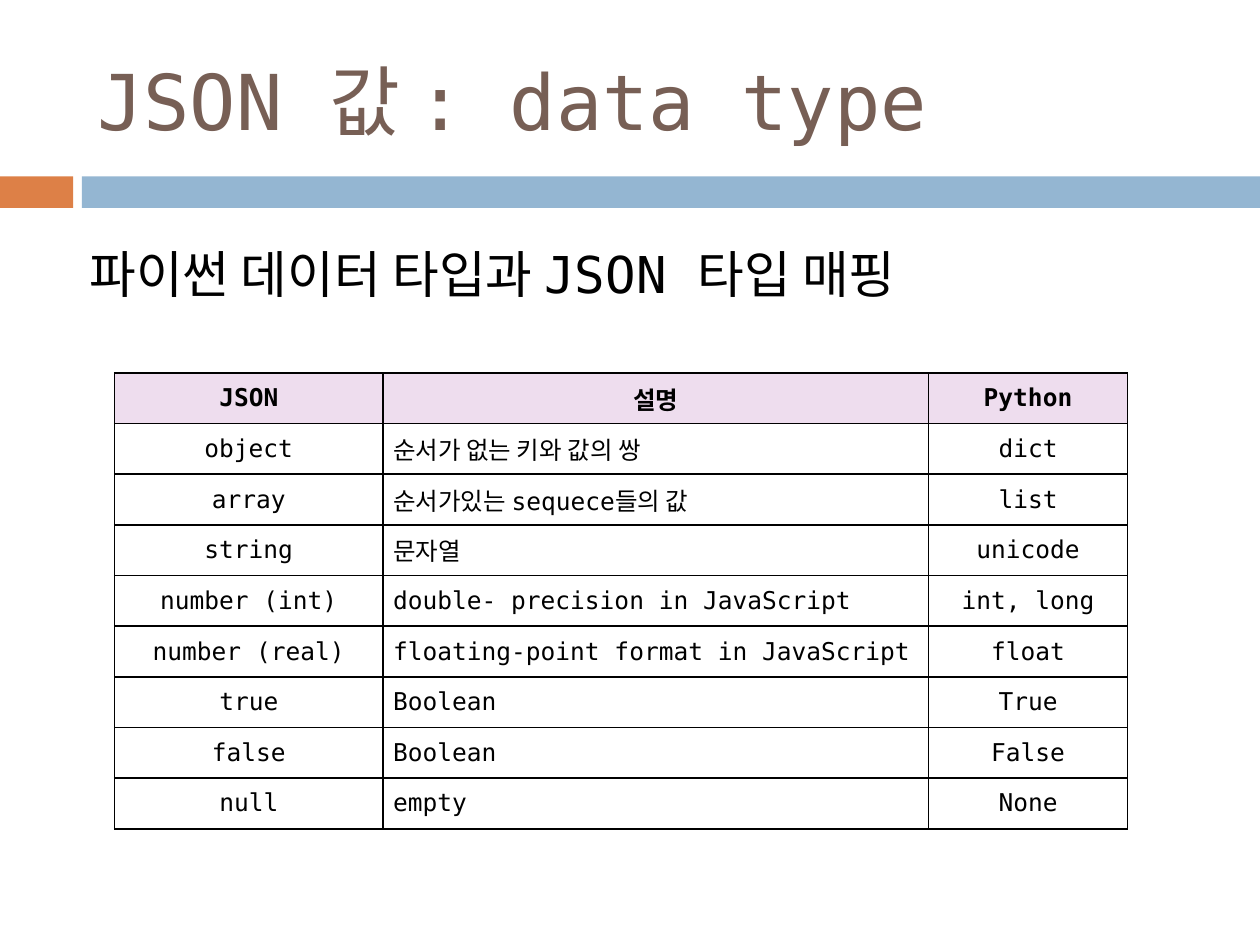
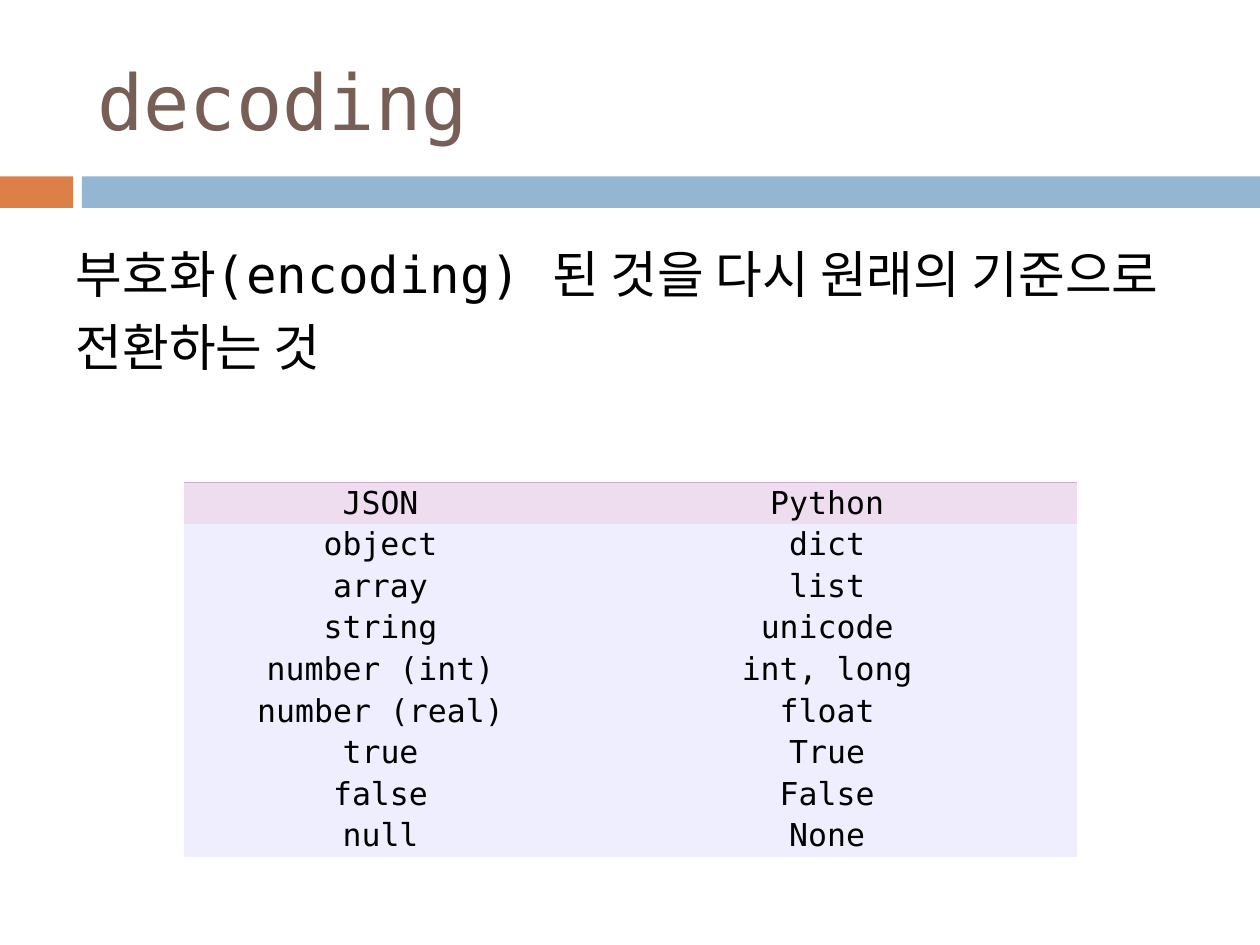
from lxml.etree import SubElement
from pptx import Presentation
from pptx.dml.color import RGBColor
from pptx.enum.shapes import MSO_SHAPE
from pptx.enum.text import MSO_ANCHOR, MSO_AUTO_SIZE, PP_ALIGN
from pptx.oxml.ns import qn
from pptx.util import Inches, Pt

FONT = "DejaVu Sans Mono"
NO_STYLE = "{2D5ABB26-0587-4C30-8999-92F81FD0307C}"
COLORS = {
    "title": "775F55",
    "text": "000000",
    "accent": "DD8047",
    "band": "94B6D2",
    "header": "EEDDEE",
    "rows": "EEEEFF",
    "grid": "000000",
    "header_line": "CCAACC",
}
BANDS = [(0, 0.58, "accent"), (0.65, 9.35, "band")]

TYPES = [
    ("JSON", "설명", "Python"),
    ("object", "순서가 없는 키와 값의 쌍", "dict"),
    ("array", "순서가있는 sequece들의 값", "list"),
    ("string", "문자열", "unicode"),
    ("number (int)", "double- precision in JavaScript", "int, long"),
    ("number (real)", "floating-point format in JavaScript", "float"),
    ("true", "Boolean", "True"),
    ("false", "Boolean", "False"),
    ("null", "empty", "None"),
]

SLIDES = [
    {
        "title": "JSON 값 : data type",
        "body": "파이썬 데이터 타입과 JSON 타입 매핑",
        "body_height": 1.42,
        "body_indent": 0.11,
        "table": {
            "rows": TYPES,
            "at": (0.91, 2.96),
            "widths": (2.13, 4.33, 1.58),
            "height": 3.62,
            "size": 14,
            "bold_header": True,
            "left_column": 1,
            "row_fill": None,
            "header_borders": ("LRTB", "grid", 1),
            "row_borders": ("LRTB", "grid", 1),
        },
    },
    {
        "title": "decoding",
        "body": "부호화(encoding) 된 것을 다시 원래의 기준으로 전환하는 것",
        "body_height": 1.57,
        "body_indent": 0,
        "table": {
            "rows": [(json, python) for json, _, python in TYPES],
            "at": (1.46, 3.83),
            "widths": (3.12, 3.97),
            "height": 2.91,
            "size": 18,
            "bold_header": False,
            "left_column": None,
            "row_fill": "rows",
            "header_borders": ("T", "header_line", 0.6),
            "row_borders": ("", "grid", 0),
        },
    },
]


def rgb(name):
    return RGBColor.from_string(COLORS[name])


def add_run(p, text, size, color, bold=False):
    r = p.add_run()
    r.text = text
    r.font.name = FONT
    r.font.size = Pt(size)
    r.font.bold = bold
    r.font.color.rgb = rgb(color)


def place(sp, left, top, width, height):
    sp.left, sp.top = Inches(left), Inches(top)
    sp.width, sp.height = Inches(width), Inches(height)


def add_bands(s):
    for left, width, color in BANDS:
        sp = s.shapes.add_shape(MSO_SHAPE.RECTANGLE, Inches(left), Inches(1.4),
                                Inches(width), Inches(0.25))
        sp.shadow.inherit = False
        sp.fill.solid()
        sp.fill.fore_color.rgb = rgb(color)
        sp.line.fill.background()


def fill_title(sp, text):
    place(sp, 0.67, 0.25, 8.92, 1.08)
    tf = sp.text_frame
    tf.auto_size = MSO_AUTO_SIZE.NONE
    tf.vertical_anchor = MSO_ANCHOR.MIDDLE
    p = tf.paragraphs[0]
    p.alignment = PP_ALIGN.LEFT
    add_run(p, text, 44, "title")


def fill_body(sp, text, height, indent):
    place(sp, 0.5, 1.78, 9, height)
    tf = sp.text_frame
    tf.auto_size = MSO_AUTO_SIZE.NONE
    p = tf.paragraphs[0]
    pPr = p._p.get_or_add_pPr()
    pPr.set("marL", str(Inches(indent)))
    pPr.set("indent", "0")
    SubElement(pPr, qn("a:buNone"))
    p.line_spacing = 1.2
    p.space_before = Pt(0)
    add_run(p, text, 29, "text")


def add_borders(cell, sides, color, width):
    tcPr = cell._tc.get_or_add_tcPr()
    for side in sides:
        ln = SubElement(tcPr, qn(f"a:ln{side}"), w=str(Pt(width)))
        fill = SubElement(ln, qn("a:solidFill"))
        SubElement(fill, qn("a:srgbClr"), val=COLORS[color])


def fill_cell(cell, text, spec, header, left):
    add_borders(cell, *spec["header_borders" if header else "row_borders"])
    color = "header" if header else spec["row_fill"]
    if color:
        cell.fill.solid()
        cell.fill.fore_color.rgb = rgb(color)
    else:
        cell.fill.background()
    cell.vertical_anchor = MSO_ANCHOR.MIDDLE
    cell.margin_left = Inches(0.08 if left else 0.04)
    cell.margin_right = Inches(0.04)
    cell.margin_top = cell.margin_bottom = Inches(0.02)
    p = cell.text_frame.paragraphs[0]
    p.alignment = PP_ALIGN.LEFT if left else PP_ALIGN.CENTER
    add_run(p, text, spec["size"], "text", header and spec["bold_header"])


def add_type_table(s, spec):
    rows, widths = spec["rows"], spec["widths"]
    left, top = spec["at"]
    table = s.shapes.add_table(len(rows), len(widths), Inches(left), Inches(top),
                               Inches(sum(widths)), Inches(spec["height"])).table
    table.first_row = table.horz_banding = False
    table._tbl.tblPr.find(qn("a:tableStyleId")).text = NO_STYLE
    for column, width in zip(table.columns, widths):
        column.width = Inches(width)
    for i, row in enumerate(rows):
        for j, text in enumerate(row):
            header = i == 0
            left_aligned = not header and j == spec["left_column"]
            fill_cell(table.cell(i, j), text, spec, header, left_aligned)


def main():
    prs = Presentation()
    prs.slide_width, prs.slide_height = Inches(10), Inches(7.5)
    for content in SLIDES:
        s = prs.slides.add_slide(prs.slide_layouts[1])
        add_bands(s)
        fill_title(s.shapes.title, content["title"])
        fill_body(s.placeholders[1], content["body"],
                  content["body_height"], content["body_indent"])
        add_type_table(s, content["table"])
    prs.save("out.pptx")


if __name__ == "__main__":
    main()
